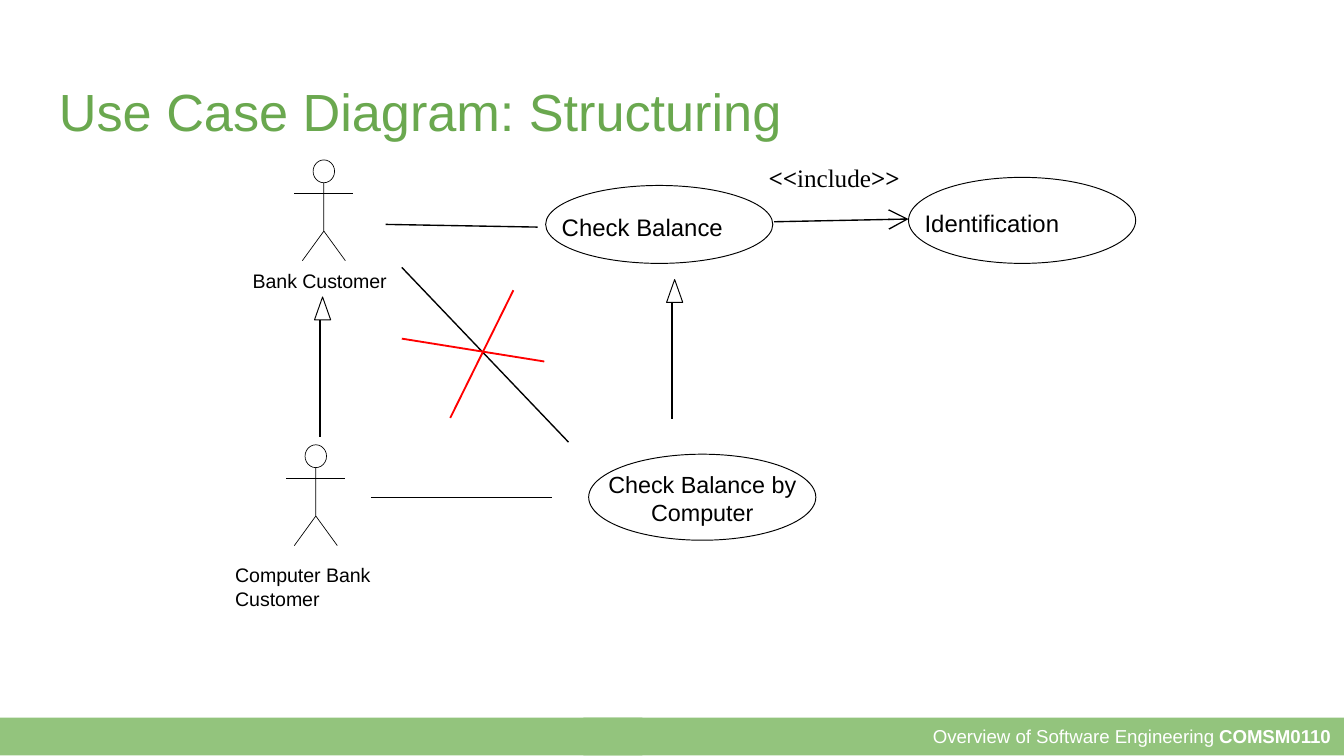
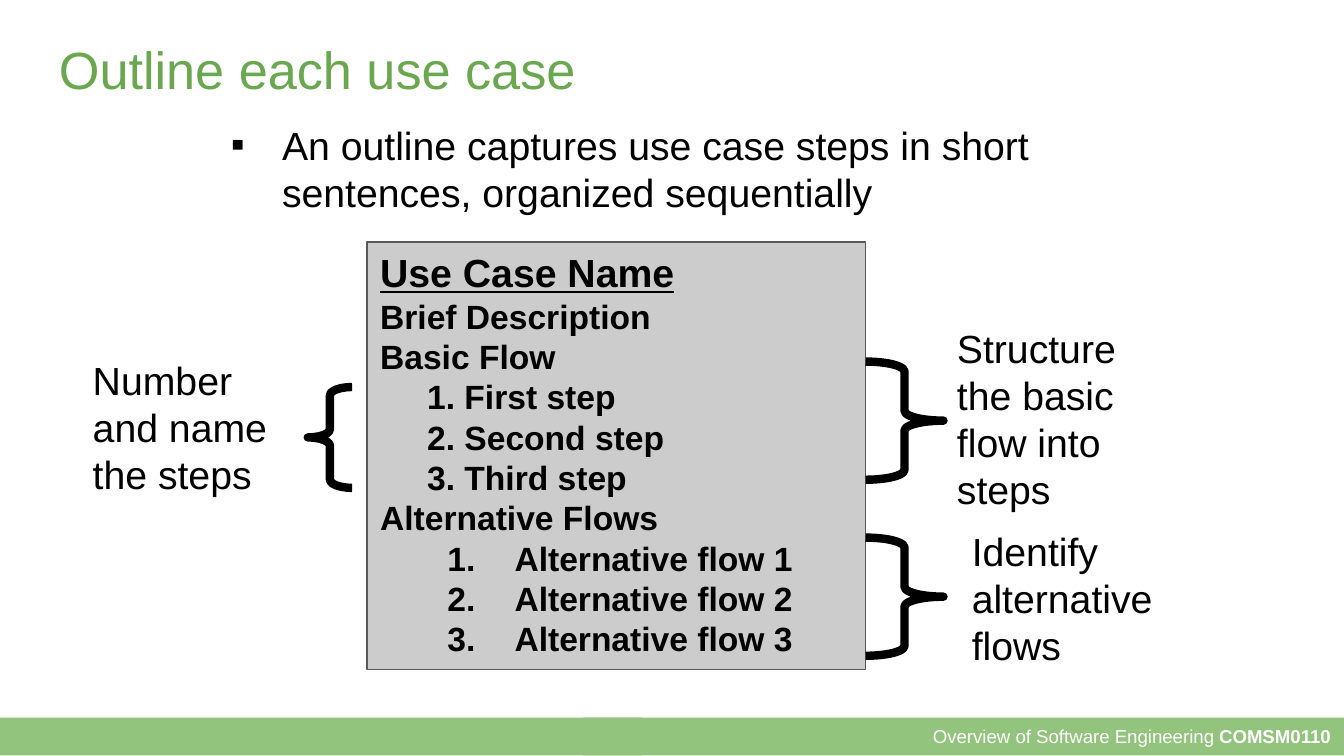
from lxml.etree import SubElement
from pptx import Presentation
from pptx.dml.color import RGBColor
from pptx.enum.shapes import MSO_CONNECTOR, MSO_SHAPE
from pptx.enum.text import MSO_ANCHOR, PP_ALIGN
from pptx.oxml.ns import qn
from pptx.util import Inches, Pt

BLACK = "000000"
WHITE = "FFFFFF"
TITLE_GREEN = "6AA84F"
BAND_GREEN = "93C47D"
RED = "FF0000"
CARD_GREY = "CCCCCC"
CARD_EDGE = "595959"
BAND_TOP, BAND_HEIGHT = 5.34, 0.28


def color(hex_string):
    return RGBColor.from_string(hex_string)


def write(paragraph, text, size=21, font="Arial", ink=BLACK, bold=False,
          underline=False, align=PP_ALIGN.LEFT):
    paragraph.alignment = align
    run = paragraph.add_run()
    run.text = text
    run.font.size = Pt(size)
    run.font.name = font
    run.font.bold = bold
    run.font.underline = underline
    run.font.color.rgb = color(ink)


def next_paragraph(frame):
    first = frame.paragraphs[0]
    return frame.add_paragraph() if first.runs else first


def indent(paragraph, left, first=0, bullet=None, numbered=False):
    properties = paragraph._p.get_or_add_pPr()
    properties.set("marL", str(Inches(left)))
    properties.set("indent", str(Inches(first)))
    if numbered:
        SubElement(properties, qn("a:buAutoNum"), type="arabicPeriod")
    elif bullet:
        SubElement(properties, qn("a:buFont"), typeface="Arial")
        SubElement(properties, qn("a:buChar"), char=bullet)


def set_insets(frame, horizontal, vertical):
    frame.margin_left = frame.margin_right = Inches(horizontal)
    frame.margin_top = frame.margin_bottom = Inches(vertical)


def add_text_box(slide, box, lines=(), insets=(0.1, 0.05), wrap=True, **style):
    shape = slide.shapes.add_textbox(*map(Inches, box))
    frame = shape.text_frame
    frame.word_wrap = wrap
    set_insets(frame, *insets)
    for line in lines:
        write(next_paragraph(frame), line, **style)
    return frame


def paint(shape, fill=None, line=None, width=0.75):
    shape.shadow.inherit = False
    if fill:
        shape.fill.solid()
        shape.fill.fore_color.rgb = color(fill)
    else:
        shape.fill.background()
    if line:
        shape.line.color.rgb = color(line)
        shape.line.width = Pt(width)
    else:
        shape.line.fill.background()


def add_preset(shapes, kind, box, **look):
    shape = shapes.add_shape(kind, *map(Inches, box))
    paint(shape, **look)
    return shape


def add_line(shapes, start, end, ink=BLACK, width=0.75, arrow=False):
    connector = shapes.add_connector(
        MSO_CONNECTOR.STRAIGHT, *map(Inches, (*start, *end)))
    connector.line.color.rgb = color(ink)
    connector.line.width = Pt(width)
    if arrow:
        SubElement(connector.line._get_or_add_ln(), qn("a:tailEnd"),
                   type="arrow", w="lg", len="lg")
    SubElement(connector._element.spPr, qn("a:effectLst"))


def add_actor(slide, center, top):
    shapes = slide.shapes.add_group_shape().shapes
    pen = 0.38
    neck, arms, hips, feet = (top + drop for drop in (0.17, 0.25, 0.53, 0.75))
    add_preset(shapes, MSO_SHAPE.OVAL, (center - 0.08, top, 0.16, 0.17),
               fill=WHITE, line=BLACK, width=pen)
    add_line(shapes, (center - 0.22, arms), (center + 0.22, arms), width=pen)
    add_line(shapes, (center, hips), (center + 0.16, feet), width=pen)
    builder = shapes.build_freeform(Inches(center), Inches(neck))
    builder.add_line_segments(
        [(Inches(center), Inches(hips)), (Inches(center - 0.16), Inches(feet))],
        close=False)
    paint(builder.convert_to_shape(), line=BLACK, width=pen)


def add_use_case(slide, oval, label_box, label, size=12.8, align=PP_ALIGN.LEFT):
    add_preset(slide.shapes, MSO_SHAPE.OVAL, oval, fill=WHITE, line=BLACK, width=0.5)
    add_text_box(slide, label_box, [label], insets=(0, 0), size=size, align=align)


def add_generalization(slide, head_left, head_top, shaft, bottom):
    add_preset(slide.shapes, MSO_SHAPE.ISOSCELES_TRIANGLE,
               (head_left, head_top, 0.12, 0.17), line=BLACK, width=0.5)
    add_line(slide.shapes, (shaft, head_top + 0.17), (shaft, bottom))


def add_brace(slide, kind, box, curve):
    brace = add_preset(slide.shapes, kind, box, line=BLACK, width=4.5)
    brace.adjustments[0] = curve
    brace.adjustments[1] = 0.5


def add_slide(presentation, title, title_top):
    slide = presentation.slides.add_slide(presentation.slide_layouts[6])
    footer = add_preset(slide.shapes, MSO_SHAPE.RECTANGLE,
                        (4.34, BAND_TOP, 5.66, BAND_HEIGHT), fill=BAND_GREEN)
    add_preset(slide.shapes, MSO_SHAPE.RECTANGLE,
               (0, BAND_TOP, 4.78, BAND_HEIGHT), fill=BAND_GREEN)
    frame = footer.text_frame
    frame.word_wrap = True
    frame.vertical_anchor = MSO_ANCHOR.MIDDLE
    set_insets(frame, 0.1, 0.1)
    style = dict(size=10, ink=WHITE, align=PP_ALIGN.RIGHT)
    write(frame.paragraphs[0], "Overview of Software Engineering ", **style)
    write(frame.paragraphs[0], "COMSM0110", bold=True, **style)
    add_text_box(slide, (0.34, title_top, 9.32, 0.63), [title],
                 insets=(0.1, 0.1), size=28, ink=TITLE_GREEN)
    return slide


def build_structuring(presentation):
    slide = add_slide(presentation, "Use Case Diagram: Structuring", 0.49)
    add_use_case(slide, (6.76, 1.32, 1.69, 0.64), (6.88, 1.55, 1.4, 0.21),
                 "Identification")
    add_use_case(slide, (4.06, 1.38, 1.69, 0.58), (4.18, 1.58, 1.4, 0.22),
                 "Check Balance")
    add_use_case(slide, (4.38, 3.38, 1.69, 0.64), (4.44, 3.5, 1.57, 0.43),
                 "Check Balance by Computer", size=12.5, align=PP_ALIGN.CENTER)

    add_line(slide.shapes, (5.76, 1.65), (6.76, 1.63), arrow=True)
    include = add_text_box(slide, (5.62, 1.16, 1.19, 0.33), wrap=False).paragraphs[0]
    for text, bold in (("<<", True), ("include", False), (">>", True)):
        write(include, text, size=13.5, font="Times New Roman", bold=bold)

    for center, top, label_box, label in (
            (2.41, 1.19, (1.88, 2, 1.12, 0.18), "Bank Customer"),
            (2.35, 3.31, (1.75, 4.19, 1.12, 0.35), "Computer Bank Customer")):
        add_actor(slide, center, top)
        add_text_box(slide, label_box, [label], insets=(0, 0), size=10.5)

    add_generalization(slide, 2.34, 2.21, 2.38, 3.25)
    add_generalization(slide, 4.96, 2.08, 5, 3.12)
    for start, end in (((2.87, 1.67), (4, 1.69)),
                       ((2.76, 3.7), (4.11, 3.7)),
                       ((2.99, 1.99), (4.23, 3.29))):
        add_line(slide.shapes, start, end)
    for start, end in (((4.05, 2.69), (2.99, 2.52)),
                       ((3.82, 2.16), (3.35, 3.11))):
        add_line(slide.shapes, start, end, ink=RED, width=1)


def add_outline_card(slide):
    card = add_preset(slide.shapes, MSO_SHAPE.RECTANGLE, (2.73, 1.8, 3.71, 3.18),
                      fill=CARD_GREY, line=CARD_EDGE)
    frame = card.text_frame
    frame.word_wrap = True
    frame.vertical_anchor = MSO_ANCHOR.TOP
    heading = dict(left=0.5, first=-0.5)
    step = dict(left=0.35)
    alternative = dict(left=1, first=-0.5, numbered=True)
    write(next_paragraph(frame), "Use Case Name", bold=True, underline=True)
    indent(frame.paragraphs[0], **heading)
    for text, level in (("Brief Description", heading),
                        ("Basic Flow", heading),
                        ("1. First step", step),
                        ("2. Second step", step),
                        ("3. Third step", step),
                        ("Alternative Flows", heading),
                        ("Alternative flow 1", alternative),
                        ("Alternative flow 2", alternative),
                        ("Alternative flow 3", alternative)):
        paragraph = next_paragraph(frame)
        write(paragraph, text, size=18, bold=True)
        indent(paragraph, **level)


def build_outline(presentation):
    slide = add_slide(presentation, "Outline each use case", 0.18)
    add_outline_card(slide)
    for top in (2.69, 4):
        add_brace(slide, MSO_SHAPE.RIGHT_BRACE, (6.44, top, 0.58, 0.88), 0.127)
    add_brace(slide, MSO_SHAPE.LEFT_BRACE, (2.29, 2.88, 0.33, 0.75), 0.187)
    for box, lines in (
            ((7.03, 2.37, 1.61, 1.5), ["Structure the basic flow into steps"]),
            ((0.6, 2.61, 1.77, 1.15), ["Number and name the steps"]),
            ((7.14, 3.88, 1.61, 1.15), ["Identify", "alternative", "flows"])):
        add_text_box(slide, box, lines, insets=(0.09, 0.04))
    summary = add_text_box(
        slide, (1.62, 0.85, 6.81, 0.81),
        ["An outline captures use case steps in short sentences, "
         "organized sequentially"])
    indent(summary.paragraphs[0], 0.38, -0.38, bullet="▪")


def main():
    presentation = Presentation()
    presentation.slide_width = Inches(10)
    presentation.slide_height = Inches(10 * 9 / 16)
    build_structuring(presentation)
    build_outline(presentation)
    presentation.save("out.pptx")


if __name__ == "__main__":
    main()
